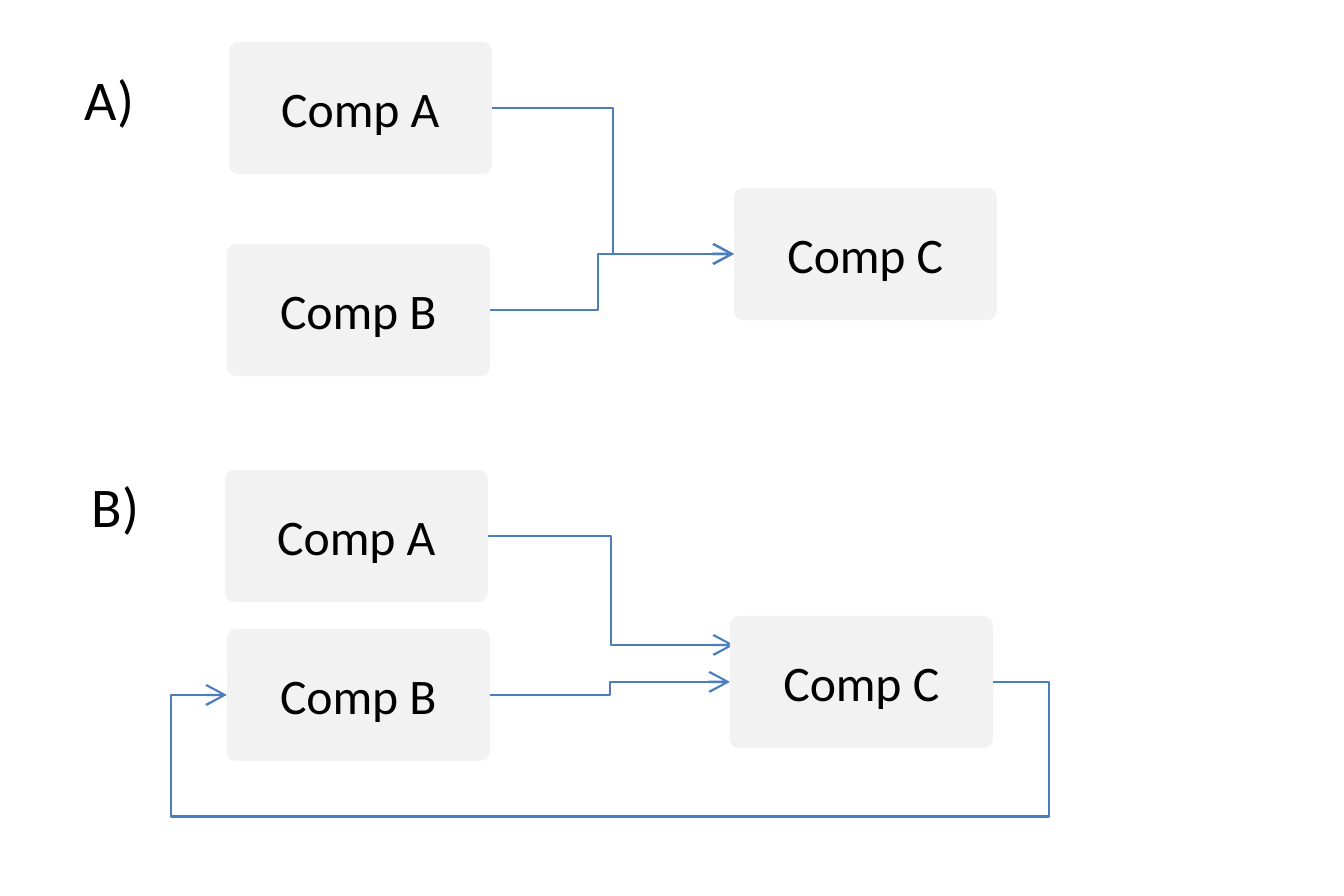
"""Build a slide with two component diagrams joined by elbow arrows."""
from dataclasses import dataclass

from lxml.etree import SubElement
from pptx import Presentation
from pptx.dml.color import RGBColor
from pptx.enum.shapes import MSO_CONNECTOR, MSO_SHAPE
from pptx.enum.text import MSO_ANCHOR, MSO_AUTO_SIZE, PP_ALIGN
from pptx.oxml.ns import qn
from pptx.slide import Slide
from pptx.text.text import TextFrame
from pptx.util import Emu, Pt

PX_PER_INCH = 224
BOX_WIDTH, BOX_HEIGHT = 263, 132
LABEL_WIDTH, LABEL_HEIGHT = 94, 90
BOX_FILL = RGBColor(0xF2, 0xF2, 0xF2)
ARROW_BLUE = RGBColor(0x4B, 0x7E, 0xBC)
TEXT_BLACK = RGBColor(0, 0, 0)


@dataclass(frozen=True)
class Component:
    name: str
    left: int
    top: int


@dataclass(frozen=True)
class PartLabel:
    text: str
    left: int
    top: int


@dataclass(frozen=True)
class Arrow:
    start: tuple[int, int]
    end: tuple[int, int]
    bends: tuple[int, ...]


ARROWS = [
    Arrow((492, 108), (734, 254), (613,)),
    Arrow((490, 310), (734, 254), (598,)),
    Arrow((488, 536), (734, 645), (611,)),
    Arrow((490, 695), (730, 682), (610,)),
    Arrow((993, 682), (227, 695), (1049, 817, 171)),
]
COMPONENTS = [
    Component("Comp A", 229, 42),
    Component("Comp B", 227, 244),
    Component("Comp C", 734, 188),
    Component("Comp A", 225, 470),
    Component("Comp B", 227, 629),
    Component("Comp C", 730, 616),
]
PART_LABELS = [PartLabel("A)", 63, 54), PartLabel("B)", 70, 460)]


def px(length: int) -> Emu:
    return Emu(round(length * 914400 / PX_PER_INCH))


def write(frame: TextFrame, text: str, size: int, align: PP_ALIGN) -> None:
    paragraph = frame.paragraphs[0]
    paragraph.alignment = align
    run = paragraph.add_run()
    run.text = text
    run.font.name = "Calibri"
    run.font.size = Pt(size)
    run.font.color.rgb = TEXT_BLACK


def draw_arrow(slide: Slide, arrow: Arrow) -> None:
    connector = slide.shapes.add_connector(
        MSO_CONNECTOR.ELBOW, *map(px, arrow.start + arrow.end))
    connector.line.color.rgb = ARROW_BLUE
    connector.line.width = Pt(0.75)
    properties = connector.element.spPr
    SubElement(properties.find(qn("a:ln")), qn("a:tailEnd"), type="arrow")
    SubElement(properties, qn("a:effectLst"))
    geometry = properties.find(qn("a:prstGeom"))
    geometry.set("prst", f"bentConnector{len(arrow.bends) + 2}")
    guides = geometry.find(qn("a:avLst"))
    for index, bend in enumerate(arrow.bends):
        first, last = arrow.start[index % 2], arrow.end[index % 2]
        share = round((bend - first) / (last - first) * 100000)
        SubElement(guides, qn("a:gd"), name=f"adj{index + 1}", fmla=f"val {share}")


def draw_component(slide: Slide, component: Component) -> None:
    box = slide.shapes.add_shape(
        MSO_SHAPE.ROUNDED_RECTANGLE, px(component.left), px(component.top),
        px(BOX_WIDTH), px(BOX_HEIGHT))
    box.adjustments[0] = 0.07
    box.shadow.inherit = False
    box.fill.solid()
    box.fill.fore_color.rgb = BOX_FILL
    box.line.fill.background()
    box.text_frame.vertical_anchor = MSO_ANCHOR.MIDDLE
    write(box.text_frame, component.name, 16, PP_ALIGN.CENTER)


def draw_label(slide: Slide, label: PartLabel) -> None:
    frame = slide.shapes.add_textbox(
        px(label.left), px(label.top), px(LABEL_WIDTH), px(LABEL_HEIGHT)).text_frame
    frame.word_wrap = False
    frame.auto_size = MSO_AUTO_SIZE.SHAPE_TO_FIT_TEXT
    write(frame, label.text, 18, PP_ALIGN.LEFT)


def main() -> None:
    deck = Presentation()
    deck.slide_width, deck.slide_height = px(6 * PX_PER_INCH), px(4 * PX_PER_INCH)
    slide = deck.slides.add_slide(deck.slide_layouts[6])
    for arrow in ARROWS:
        draw_arrow(slide, arrow)
    for component in COMPONENTS:
        draw_component(slide, component)
    for label in PART_LABELS:
        draw_label(slide, label)
    deck.save("out.pptx")


if __name__ == "__main__":
    main()
